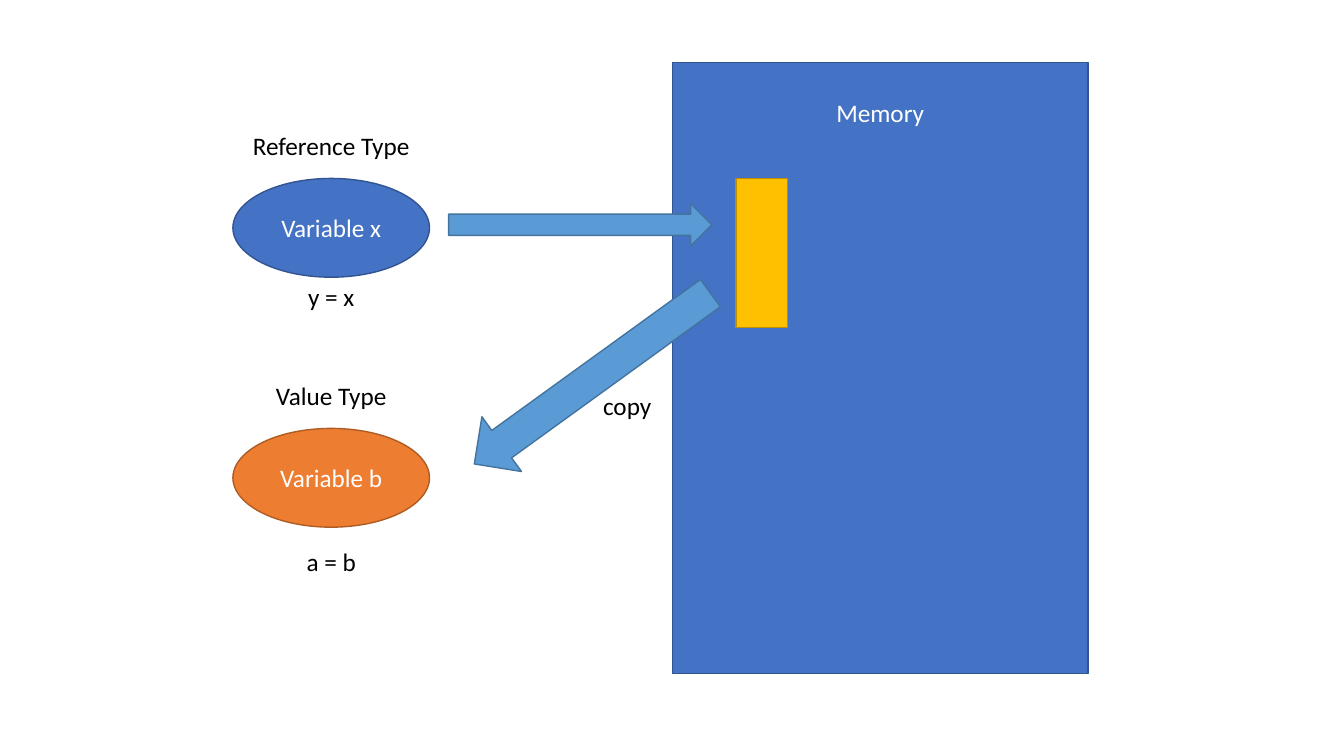
from pptx import Presentation
from pptx.dml.color import RGBColor
from pptx.enum.shapes import MSO_SHAPE as SHAPE
from pptx.enum.text import MSO_ANCHOR as ANCHOR, MSO_AUTO_SIZE as AUTO, PP_ALIGN as ALIGN
from pptx.util import Inches, Pt

COLORS = {
    "blue": "4472C4", "blue_line": "325491",
    "orange": "ED7D31", "orange_line": "AF5C24",
    "gold": "FFC000", "gold_line": "BD8E00",
    "sky": "5B9BD5", "sky_line": "43739E",
    "white": "FFFFFF", "black": "000000",
}
LABEL_H = 0.4


def rgb(name):
    """Return the named colour."""
    return RGBColor.from_string(COLORS[name])


def write(tf, text, color):
    """Write one centred line of text."""
    p = tf.paragraphs[0]
    p.alignment = ALIGN.CENTER
    r = p.add_run()
    r.text = text
    r.font.name = "Calibri"
    r.font.size = Pt(18)
    r.font.color.rgb = rgb(color)


def add_block(s, kind, box, color, text=None):
    """Add a filled and outlined shape, with text if given."""
    sp = s.shapes.add_shape(kind, *map(Inches, box))
    sp.shadow.inherit = False
    sp.fill.solid()
    sp.fill.fore_color.rgb = rgb(color)
    sp.line.color.rgb = rgb(color + "_line")
    sp.line.width = Pt(1)
    if text:
        sp.text_frame.vertical_anchor = ANCHOR.MIDDLE
        write(sp.text_frame, text, "white")
    return sp


def add_label(s, center, top, width, text):
    """Add a black label centred on a vertical axis."""
    left = center - width / 2
    tf = s.shapes.add_textbox(*map(Inches, (left, top, width, LABEL_H))).text_frame
    tf.word_wrap = False
    tf.auto_size = AUTO.SHAPE_TO_FIT_TEXT
    write(tf, text, "black")


def add_memory(s, box):
    """Add the memory panel and the stored value inside it."""
    left, top, _, _ = box
    tf = add_block(s, SHAPE.RECTANGLE, box, "blue", "Memory").text_frame
    tf.vertical_anchor = ANCHOR.TOP
    tf.margin_top = Inches(0.35)
    add_block(s, SHAPE.RECTANGLE, (left + 0.63, top + 1.15, 0.51, 1.48), "gold")


def add_variable(s, box, color, name, title, code, gap):
    """Add a variable with its type above and its assignment below."""
    left, top, width, height = box
    center = left + width / 2
    add_block(s, SHAPE.OVAL, box, color, name)
    add_label(s, center, top - 0.53, *title)
    add_label(s, center, top + height + gap, *code)


def add_arrow(s, box, angle=0):
    """Add a block arrow turned by an angle."""
    add_block(s, SHAPE.RIGHT_ARROW, box, "sky").rotation = angle


def main():
    """Build the slide and save it."""
    prs = Presentation()
    prs.slide_width, prs.slide_height = Inches(13.33), Inches(7.5)
    s = prs.slides.add_slide(prs.slide_layouts[6])
    add_memory(s, (6.67, 0.62, 4.12, 6.06))
    add_variable(s, (2.31, 1.77, 1.95, 0.98), "blue", "Variable x",
                 (1.77, "Reference Type"), (0.68, "y = x"), -0.01)
    add_variable(s, (2.31, 4.25, 1.95, 0.98), "orange", "Variable b",
                 (1.31, "Value Type"), (0.72, "a = b"), 0.14)
    add_arrow(s, (4.45, 2.02, 2.61, 0.42))
    add_arrow(s, (4.43, 3.42, 2.89, 0.67), 144.1)
    add_label(s, 6.22, 3.82, 0.69, "copy")
    prs.save("out.pptx")


if __name__ == "__main__":
    main()
